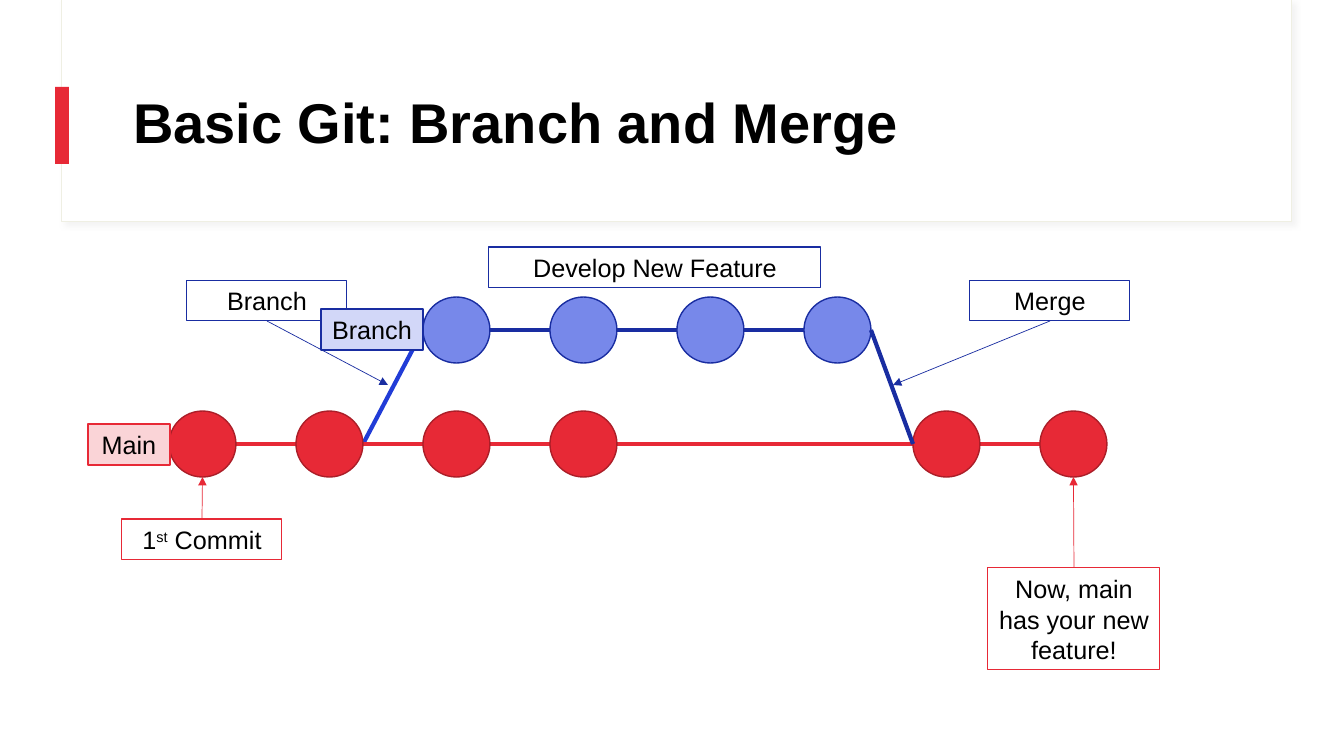
from lxml.etree import SubElement
from pptx import Presentation
from pptx.dml.color import RGBColor
from pptx.enum.shapes import MSO_CONNECTOR, MSO_SHAPE
from pptx.enum.text import MSO_ANCHOR, PP_ALIGN
from pptx.oxml import parse_xml
from pptx.oxml.ns import nsdecls, qn
from pptx.util import Pt

PX = 914400 / 100.8
COLORS = {
    "white": "FFFFFF", "black": "000000", "frame": "EFEFE3", "shadow": "D9D9D9",
    "red": "E72936", "dark_red": "AB1E28", "pale_red": "FAD4D7",
    "blue": "7788EA", "dark_blue": "192DA1", "mid_blue": "213CD7", "pale_blue": "D2D7F8",
}
FONT = "Arial"
NODE_W, NODE_H, PITCH = 67, 66, 127
MAIN_X, MAIN_Y = 169, 411
BRANCH_X, BRANCH_Y = MAIN_X + 2 * PITCH, 297
MERGE_X = 913


def px(*values):
    return [round(v * PX) for v in values]


def color(name):
    return RGBColor.from_string(COLORS[name])


def add_box(s, kind, box, fill=None, line=None, width=1):
    sp = s.shapes.add_shape(kind, *px(*box))
    sp.shadow.inherit = False
    if fill:
        sp.fill.solid()
        sp.fill.fore_color.rgb = color(fill)
    else:
        sp.fill.background()
    if line:
        sp.line.color.rgb = color(line)
        sp.line.width = Pt(width)
    else:
        sp.line.fill.background()
    return sp


def add_label(s, box, runs, line, fill=None, width=0.75):
    sp = add_box(s, MSO_SHAPE.RECTANGLE, box, fill, line, width)
    tf = sp.text_frame
    tf.word_wrap = True
    p = tf.paragraphs[0]
    p.alignment = PP_ALIGN.CENTER
    p.font.name, p.font.size = FONT, Pt(18)
    p.font.color.rgb = color("black")
    for text, baseline in runs:
        r = p.add_run()
        r.text = text
        if baseline:
            r.font._element.set("baseline", str(baseline))
    return sp


def add_line(s, start, end, line, width=3):
    cxn = s.shapes.add_connector(MSO_CONNECTOR.STRAIGHT, *px(*start, *end))
    cxn.line.color.rgb = color(line)
    cxn.line.width = Pt(width)
    SubElement(cxn._element.spPr, qn("a:effectLst"))
    return cxn


def add_callout(s, box, runs, line, side, target):
    """Label with a thin arrow from the middle of its top (0) or bottom (2)."""
    sp = add_label(s, box, runs, line)
    left, top, w, h = box
    start = (left + w / 2, top + (h if side == 2 else 0))
    cxn = add_line(s, start, target, line, 0.5)
    cxn.begin_connect(sp, side)
    ln = cxn.line._get_or_add_ln()
    SubElement(ln, qn("a:tailEnd"), type="triangle")


def add_commits(s, lefts, top, fill, line, link):
    """Row of commits, each joined to the one before."""
    mid = top + NODE_H / 2
    for left, following in zip(lefts, lefts[1:]):
        add_line(s, (left + NODE_W, mid), (following, mid), link)
    for left in lefts:
        add_box(s, MSO_SHAPE.OVAL, (left, top, NODE_W, NODE_H), fill, line)


def add_header(s, text):
    # Framed band and accent bar
    frame = add_box(s, MSO_SHAPE.RECTANGLE, (62, 0, 1230, 222), "white", "frame", 0.75)
    effects = frame._element.spPr.find(qn("a:effectLst"))
    effects.append(parse_xml(
        f'<a:outerShdw {nsdecls("a")} blurRad="50800" dist="38100" dir="2700000">'
        f'<a:srgbClr val="{COLORS["shadow"]}"><a:alpha val="30000"/></a:srgbClr>'
        '</a:outerShdw>'))
    add_box(s, MSO_SHAPE.RECTANGLE, (55, 87, 14, 77), "red")

    # Title in front of the band
    title = s.shapes.title
    s.shapes._spTree.append(title._element)
    title.left, title.top, title.width, title.height = px(123, 60, 1121, 130)
    tf = title.text_frame
    tf.text = text
    tf.word_wrap = True
    tf.vertical_anchor = MSO_ANCHOR.MIDDLE
    p = tf.paragraphs[0]
    p.alignment = PP_ALIGN.LEFT
    p.line_spacing = 0.9
    p.font.name, p.font.size, p.font.bold = FONT, Pt(40), True
    p.font.color.rgb = color("black")


def main():
    prs = Presentation()
    prs.slide_width, prs.slide_height = px(1344, 756)
    s = prs.slides.add_slide(prs.slide_layouts[5])
    add_header(s, "Basic Git: Branch and Merge")

    # Commits on both branches
    main_lefts = [MAIN_X + i * PITCH for i in range(4)] + [MERGE_X, MERGE_X + PITCH]
    branch_lefts = [BRANCH_X + i * PITCH for i in range(4)]
    main_mid, branch_mid = MAIN_Y + NODE_H / 2, BRANCH_Y + NODE_H / 2
    add_line(s, (main_lefts[1] + NODE_W, main_mid), (BRANCH_X, branch_mid), "mid_blue")
    add_commits(s, main_lefts, MAIN_Y, "red", "dark_red", "red")
    add_commits(s, branch_lefts, BRANCH_Y, "blue", "dark_blue", "dark_blue")
    add_line(s, (branch_lefts[-1] + NODE_W, branch_mid), (MERGE_X, main_mid), "dark_blue")

    # Callouts
    first_mid, last_mid = main_lefts[0] + NODE_W / 2, main_lefts[-1] + NODE_W / 2
    bottom = MAIN_Y + NODE_H
    callouts = [
        ((122, 519, 160, 41), [("1", 0), ("st", 30000), (" Commit", 0)], "red", 0,
         (first_mid, bottom)),
        ((187, 280, 160, 41), [("Branch", 0)], "dark_blue", 2, (388, 385)),
        ((970, 280, 160, 41), [("Merge", 0)], "dark_blue", 2, (893, 385)),
        ((988, 568, 172, 102), [("Now, main has your new feature!", 0)], "red", 0,
         (last_mid, bottom)),
    ]
    for callout in callouts:
        add_callout(s, *callout)
    add_label(s, (489, 247, 332, 41), [("Develop New Feature", 0)], "dark_blue")

    # Branch names
    add_label(s, (88, 424, 82, 41), [("Main", 0)], "red", "pale_red", 1)
    add_label(s, (321, 309, 102, 41), [("Branch", 0)], "dark_blue", "pale_blue", 1)

    prs.save("out.pptx")


if __name__ == "__main__":
    main()
